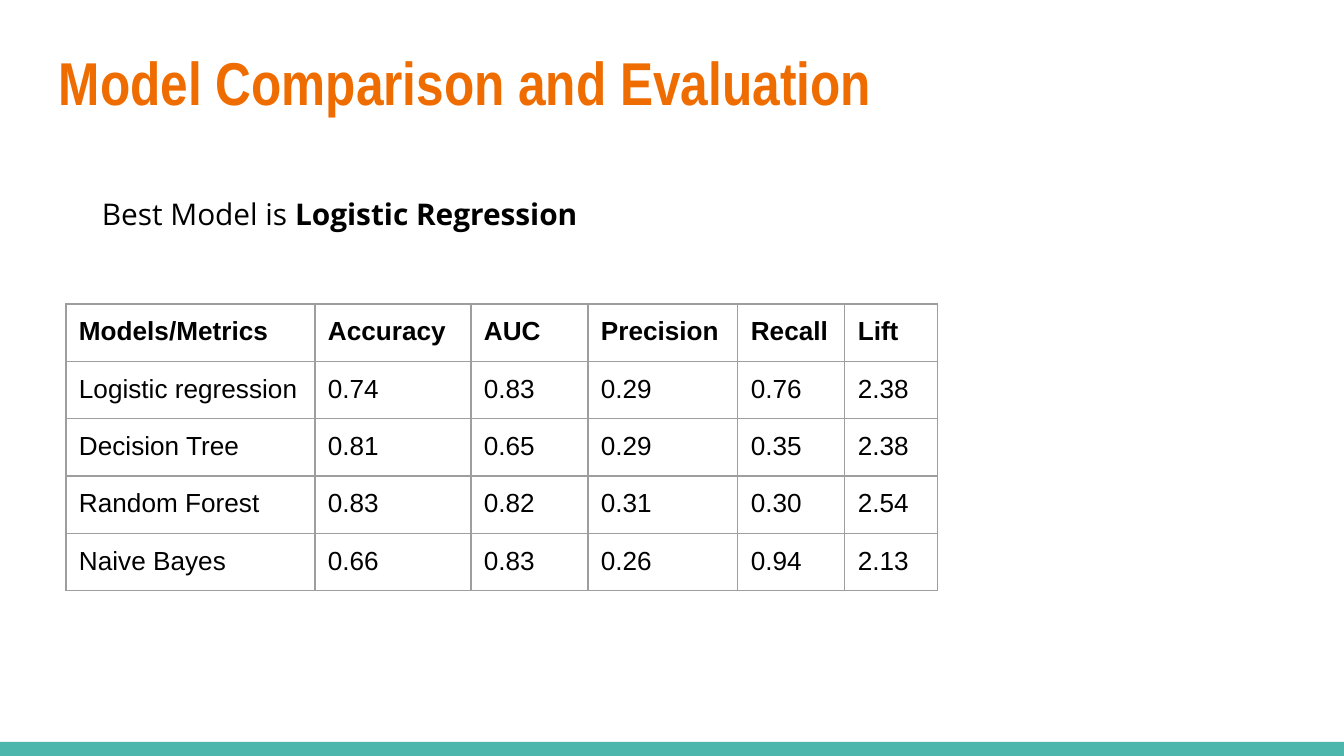
from lxml.etree import SubElement
from pptx import Presentation
from pptx.dml.color import RGBColor
from pptx.enum.shapes import MSO_SHAPE as Shape
from pptx.enum.text import MSO_ANCHOR as Anchor
from pptx.oxml.ns import qn
from pptx.util import Emu, Pt

SCALE = 914400 / 134.4  # EMU per px
INSET = 13
COLORS = {
    "title": "EF6C00",
    "text": "000000",
    "band": "4DB6AC",
    "border": "9E9E9E",
    "page": "FFFFFF",
}
TITLE = {"name": "Arial Narrow", "size": Pt(32.4), "bold": True}
BODY = {"name": "Open Sans", "size": Pt(16), "bold": False}
CELL = {"name": "Arial", "size": Pt(14), "bold": False}

COLUMN_WIDTHS = [249, 156, 117, 150, 107, 93]
ROW_HEIGHT = 56
METRICS = [
    ["Models/Metrics", "Accuracy", "AUC", "Precision", "Recall", "Lift"],
    ["Logistic regression", "0.74", "0.83", "0.29", "0.76", "2.38"],
    ["Decision Tree", "0.81", "0.65", "0.29", "0.35", "2.38"],
    ["Random Forest", "0.83", "0.82", "0.31", "0.30", "2.54"],
    ["Naive Bayes", "0.66", "0.83", "0.26", "0.94", "2.13"],
]


def px(length):
    return Emu(round(length * SCALE))


def rgb(color):
    return RGBColor.from_string(COLORS[color])


def add_span(para, text, style, color="text"):
    span = para.add_run()
    span.text = text
    for name, value in style.items():
        setattr(span.font, name, value)
    span.font.color.rgb = rgb(color)


def set_insets(holder):
    for side in ("left", "top", "right", "bottom"):
        setattr(holder, f"margin_{side}", px(INSET))


def add_text(page, area, spans, color="text", anchor=Anchor.TOP):
    frame = page.shapes.add_textbox(*map(px, area)).text_frame
    frame.word_wrap = True
    frame.vertical_anchor = anchor
    set_insets(frame)
    for text, style in spans:
        add_span(frame.paragraphs[0], text, style, color)


def add_band(page, area):
    band = page.shapes.add_shape(Shape.RECTANGLE, *map(px, area))
    band.shadow.inherit = False
    band.fill.solid()
    band.fill.fore_color.rgb = rgb("band")
    band.line.fill.background()


def add_borders(cell):
    props = cell._tc.get_or_add_tcPr()
    for index, edge in enumerate(("lnL", "lnR", "lnT", "lnB")):
        line = SubElement(props, qn(f"a:{edge}"), w=str(Pt(0.75)))
        fill = SubElement(line, qn("a:solidFill"))
        SubElement(fill, qn("a:srgbClr"), val=COLORS["border"])
        # Borders come before the cell fill in the schema
        props.insert(index, line)


def add_metrics_table(page, left, top):
    size = sum(COLUMN_WIDTHS), ROW_HEIGHT * len(METRICS)
    table = page.shapes.add_table(
        len(METRICS), len(COLUMN_WIDTHS), *map(px, (left, top, *size))
    ).table
    table.first_row = table.horz_banding = False
    for column, width in zip(table.columns, COLUMN_WIDTHS):
        column.width = px(width)
    for row, values in enumerate(METRICS):
        table.rows[row].height = px(ROW_HEIGHT)
        for col, value in enumerate(values):
            cell = table.cell(row, col)
            set_insets(cell)
            cell.fill.background()
            add_borders(cell)
            add_span(cell.text_frame.paragraphs[0], value, CELL | {"bold": row == 0})


def main():
    deck = Presentation()
    deck.slide_width, deck.slide_height = px(1344), px(756)
    page = deck.slides.add_slide(deck.slide_layouts[6])
    page.background.fill.solid()
    page.background.fill.fore_color.rgb = rgb("page")

    # Footer band and title
    add_band(page, (0, 742, 1344, 14))
    add_text(page, (46, 30, 1253, 103), [("Model Comparison and Evaluation", TITLE)],
             "title", Anchor.MIDDLE)

    # Results and conclusion
    add_metrics_table(page, 66, 304)
    add_text(page, (89, 183, 914, 63), [
        ("Best Model is ", BODY),
        ("Logistic Regression", BODY | {"bold": True}),
    ])

    deck.save("out.pptx")


if __name__ == "__main__":
    main()
